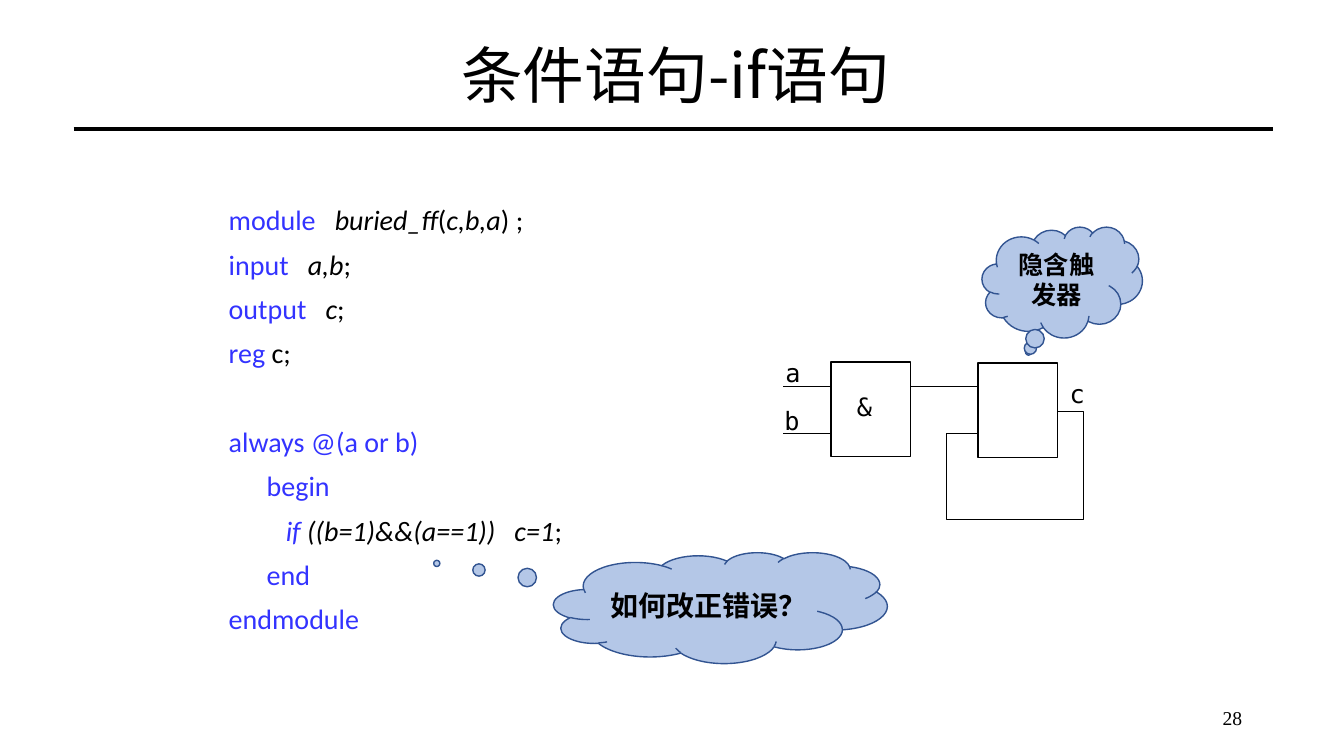
from lxml import etree
from pptx import Presentation
from pptx.dml.color import RGBColor
from pptx.enum import shapes, text
from pptx.oxml.ns import qn
from pptx.util import Inches, Pt

BLACK = RGBColor(0x00, 0x00, 0x00)
KEYWORD = RGBColor(0x33, 0x33, 0xFF)
CLOUD_FILL = RGBColor(0xB4, 0xC7, 0xE7)
CLOUD_LINE = RGBColor(0x32, 0x54, 0x91)

SANS = "Noto Sans CJK SC"
MONO = "DejaVu Sans Mono"
GATE_WIDTH, GATE_HEIGHT = 0.79, 0.94
GATE_LEFT, LATCH_LEFT = 8.24, 9.7
UPPER_WIRE, LOWER_WIRE, OUTPUT_WIRE = 3.83, 4.3, 4.08

# Each run is (text, style): k = keyword, i = italic, "" = plain.
CODE = [
    [("module   ", "k"), ("buried_ff", "i"), ("(", ""), ("c,b,a", "i"), (") ;", "")],
    [("input   ", "k"), ("a,b", "i"), (";", "")],
    [("output   ", "k"), ("c", "i"), (";", "")],
    [("reg", "k"), (" c;", "")],
    [("always @(a or b)", "k")],
    [("      begin", "k")],
    [("         ", ""), ("if", "ki"), (" ((b=1)&&(a==1))   c=1", "i"), (";", "")],
    [("      end", "k")],
    [("endmodule", "k")],
]
ALWAYS_LINE = 4


def add_run(paragraph, words, font=SANS, size=18, color=BLACK, bold=False, italic=False):
    run = paragraph.add_run()
    run.text = words
    run.font.size, run.font.bold, run.font.italic = Pt(size), bold, italic
    run.font.color.rgb = color
    run.font.name = font
    east_asian = etree.Element(qn("a:ea"), typeface=font)
    run.font._element.find(qn("a:latin")).addnext(east_asian)


def add_text(slide, words, left, top, width, height, align=text.PP_ALIGN.LEFT,
             anchor=text.MSO_ANCHOR.TOP, wrap=True, spacing=None, **style):
    box = slide.shapes.add_textbox(Inches(left), Inches(top), Inches(width), Inches(height))
    frame = box.text_frame
    frame.word_wrap, frame.vertical_anchor = wrap, anchor
    if not wrap:
        frame.auto_size = text.MSO_AUTO_SIZE.SHAPE_TO_FIT_TEXT
    paragraph = frame.paragraphs[0]
    paragraph.alignment, paragraph.line_spacing = align, spacing
    if words:
        add_run(paragraph, words, **style)
    return frame


def add_code(slide):
    frame = add_text(slide, "", 2.17, 2, 9, 4.82)
    for number, runs in enumerate(CODE):
        paragraph = frame.add_paragraph() if number else frame.paragraphs[0]
        paragraph.line_spacing = 0.9
        if number:
            paragraph.space_before = Pt(42 if number == ALWAYS_LINE else 10)
        for words, style in runs:
            add_run(paragraph, words, font="Calibri", size=20, italic="i" in style,
                    color=KEYWORD if "k" in style else BLACK)


def add_wire(slide, start, end, y, weight=0.5):
    wire = slide.shapes.add_connector(shapes.MSO_CONNECTOR.STRAIGHT,
                                      Inches(start), Inches(y), Inches(end), Inches(y))
    wire.line.color.rgb, wire.line.width = BLACK, Pt(weight)
    etree.SubElement(wire._element.spPr, qn("a:effectLst"))


def outline(shape, weight, color=BLACK):
    shape.shadow.inherit = False
    shape.fill.background()
    shape.line.color.rgb, shape.line.width = color, Pt(weight)


def add_gate(slide, left, top):
    gate = slide.shapes.add_shape(shapes.MSO_SHAPE.RECTANGLE, Inches(left), Inches(top),
                                  Inches(GATE_WIDTH), Inches(GATE_HEIGHT))
    outline(gate, 1)


def add_feedback(slide):
    """Draw the loop from the latch output back to its lower input."""
    right, bottom, left = 10.74, 5.15, 9.39
    points = [(right, OUTPUT_WIRE), (right, bottom), (left, bottom), (left, LOWER_WIRE),
              (LATCH_LEFT, LOWER_WIRE)]
    builder = slide.shapes.build_freeform(Inches(LATCH_LEFT + GATE_WIDTH), Inches(OUTPUT_WIRE))
    builder.add_line_segments([(Inches(x), Inches(y)) for x, y in points], close=False)
    outline(builder.convert_to_shape(), 0.5)


def add_cloud(slide, words, left, top, width, tail, size):
    cloud = slide.shapes.add_shape(shapes.MSO_SHAPE.CLOUD_CALLOUT, Inches(left), Inches(top),
                                   Inches(width), Inches(1.1))
    outline(cloud, 1, CLOUD_LINE)
    cloud.fill.solid()
    cloud.fill.fore_color.rgb = CLOUD_FILL
    cloud.adjustments[0], cloud.adjustments[1] = tail
    frame = cloud.text_frame
    frame.word_wrap, frame.vertical_anchor = True, text.MSO_ANCHOR.MIDDLE
    frame.paragraphs[0].alignment = text.PP_ALIGN.CENTER
    add_run(frame.paragraphs[0], words, size=size, bold=True)


def add_circuit(slide):
    add_gate(slide, GATE_LEFT, 3.59)
    add_gate(slide, LATCH_LEFT, 3.6)
    for y in (UPPER_WIRE, LOWER_WIRE):
        add_wire(slide, 7.77, GATE_LEFT, y)
    add_wire(slide, GATE_LEFT + GATE_WIDTH, LATCH_LEFT, UPPER_WIRE)
    add_feedback(slide)
    for label, left, top in [("&", 8.4, 3.83), ("a", 7.69, 3.5),
                             ("b", 7.68, 3.97), ("c", 10.51, 3.7)]:
        add_text(slide, label, left, top, 0.31, 0.4, wrap=False, font=MONO)


def main():
    presentation = Presentation()
    presentation.slide_width, presentation.slide_height = Inches(13.33), Inches(7.5)
    slide = presentation.slides.add_slide(presentation.slide_layouts[6])
    add_wire(slide, 0.73, 12.63, 1.28, weight=3)
    add_text(slide, "28", 9.42, 6.95, 3, 0.4, align=text.PP_ALIGN.RIGHT,
             font="Times New Roman", size=14)
    add_text(slide, "条件语句-if语句", 0.75, 0.35, 11.9, 0.85, align=text.PP_ALIGN.CENTER,
             anchor=text.MSO_ANCHOR.MIDDLE, spacing=0.9, size=44)
    add_code(slide)
    add_circuit(slide)
    add_cloud(slide, "隐含触发器", 9.74, 2.25, 1.59, (-0.21, 0.63), 18)
    add_cloud(slide, "如何改正错误？", 5.49, 5.48, 3.31, (-0.85, -0.4), 20)
    presentation.save("out.pptx")


if __name__ == "__main__":
    main()
